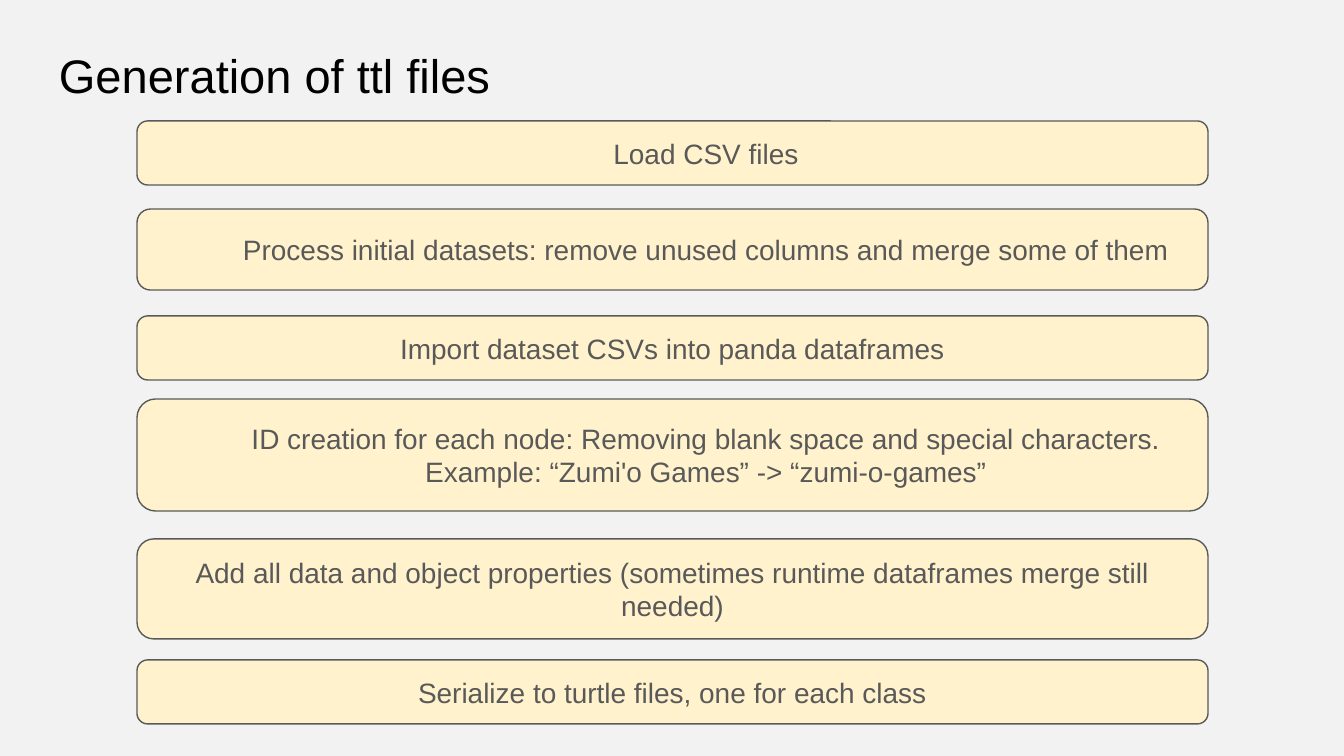
import pptx
import pptx.util
import pptx.dml.color
import pptx.enum.shapes
import pptx.enum.text

BACKGROUND = pptx.dml.color.RGBColor(0xF2, 0xF2, 0xF2)
CREAM = pptx.dml.color.RGBColor(0xFF, 0xF2, 0xCC)
GREY = pptx.dml.color.RGBColor(0x59, 0x59, 0x59)
BLACK = pptx.dml.color.RGBColor(0, 0, 0)

TITLE = "Generation of ttl files"
STEPS = [
    {"top": 121, "height": 64, "first_indent": 67, "lines": ["Load CSV files"]},
    {"top": 209, "height": 81, "margin": 67, "lines": [
        "Process initial datasets: remove unused columns and merge some of them"]},
    {"top": 316, "height": 64, "lines": ["Import dataset CSVs into panda dataframes"]},
    {"top": 399, "height": 112, "margin": 67, "lines": [
        "ID creation for each node: Removing blank space and special characters.",
        "Example: “Zumi'o Games” -> “zumi-o-games”"]},
    {"top": 539, "height": 100, "lines": [
        "Add all data and object properties (sometimes runtime dataframes merge still needed)"]},
    {"top": 660, "height": 64, "lines": ["Serialize to turtle files, one for each class"]},
]
STEP_LEFT, STEP_WIDTH = 137, 1071
PADDING = 13


def px(length):
    return pptx.util.Emu(round(length * 914400 / 134.4))


def write(shape, lines, size, color, anchor, align, wrap):
    frame = shape.text_frame
    frame.text = "\n".join(lines)
    frame.word_wrap = wrap
    frame.vertical_anchor = anchor
    frame.margin_left = frame.margin_right = px(PADDING)
    frame.margin_top = frame.margin_bottom = px(PADDING)
    for para in frame.paragraphs:
        para.alignment = align
        for span in para.runs:
            span.font.name = "Arial"
            span.font.size = pptx.util.Pt(size)
            span.font.color.rgb = color


def add_step(page, step):
    box = page.shapes.add_shape(
        pptx.enum.shapes.MSO_SHAPE.ROUNDED_RECTANGLE,
        px(STEP_LEFT), px(step["top"]), px(STEP_WIDTH), px(step["height"]))
    box.shadow.inherit = False
    box.fill.solid()
    box.fill.fore_color.rgb = CREAM
    box.line.color.rgb = GREY
    box.line.width = pptx.util.Pt(0.75)
    write(box, step["lines"], 15, GREY, pptx.enum.text.MSO_ANCHOR.MIDDLE,
          pptx.enum.text.PP_ALIGN.CENTER, True)
    for para in box.text_frame.paragraphs:
        properties = para._p.get_or_add_pPr()
        properties.set("marL", str(px(step.get("margin", 0))))
        properties.set("indent", str(px(step.get("first_indent", 0))))


def main():
    deck = pptx.Presentation()
    deck.slide_width, deck.slide_height = px(1344), px(756)
    page = deck.slides.add_slide(deck.slide_layouts[6])
    page.background.fill.solid()
    page.background.fill.fore_color.rgb = BACKGROUND
    title = page.shapes.add_textbox(px(46), px(35), px(469), px(81))
    write(title, [TITLE], 25.2, BLACK, pptx.enum.text.MSO_ANCHOR.BOTTOM,
          pptx.enum.text.PP_ALIGN.LEFT, True)
    for step in STEPS:
        add_step(page, step)
    deck.save("out.pptx")


if __name__ == "__main__":
    main()
